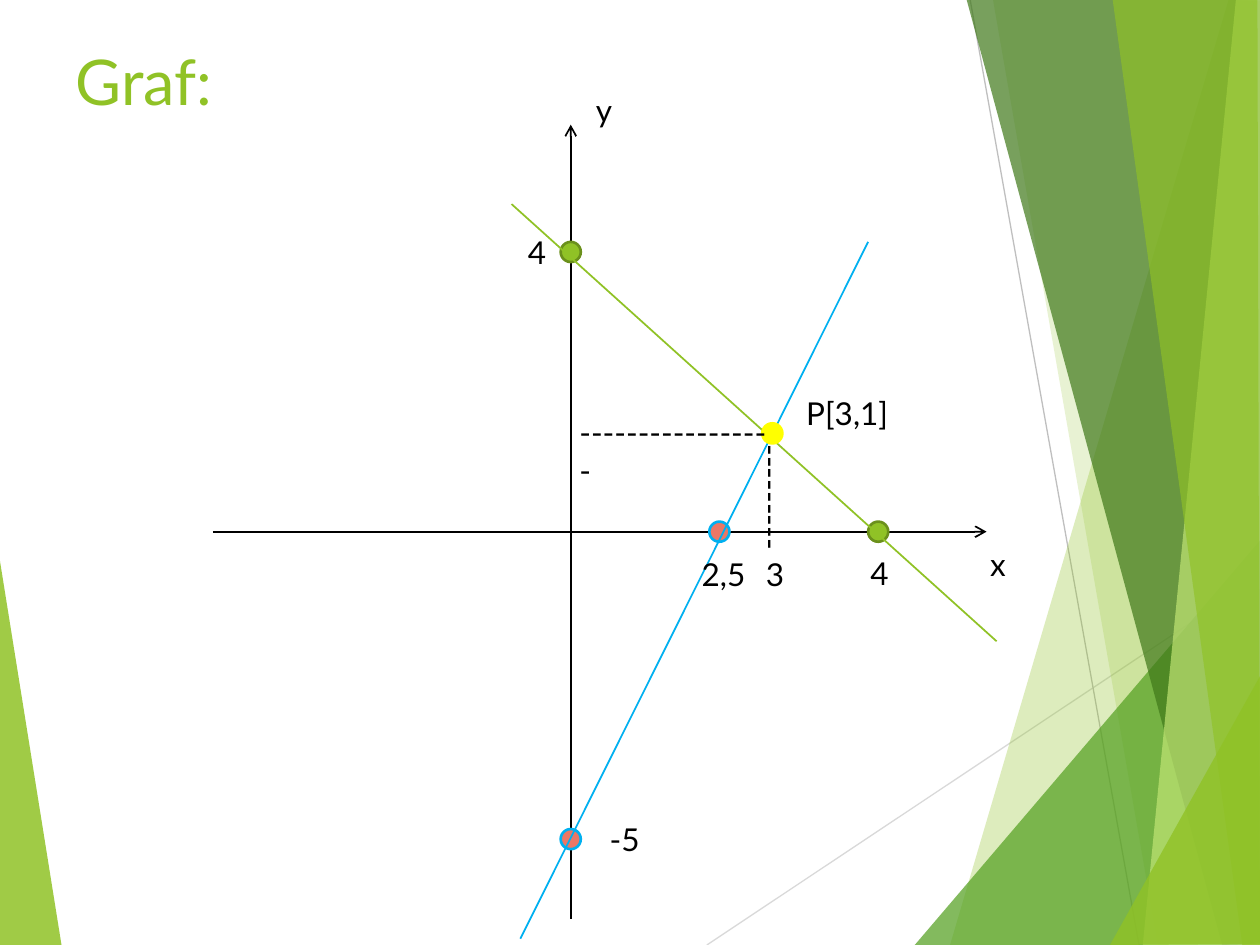
from typing import NamedTuple

from lxml import etree
from pptx import Presentation
from pptx import util as u
from pptx.dml.color import RGBColor
from pptx.enum import shapes, text
from pptx.oxml.ns import qn

PX = 9144  # 100 px to the inch
FONT = "Lato"
GREEN = RGBColor(0x90, 0xC2, 0x26)
OLIVE = RGBColor(0x6B, 0x90, 0x1C)
LEAF = RGBColor(0x54, 0xA0, 0x21)
FOREST = RGBColor(0x3F, 0x78, 0x19)
LIME = RGBColor(0xC0, 0xE4, 0x74)
SALMON = RGBColor(0xEB, 0x77, 0x66)
BLUE = RGBColor(0x00, 0xB0, 0xF0)
YELLOW = RGBColor(0xFF, 0xFF, 0x00)
BLACK = RGBColor(0, 0, 0)
PALE_GRAY = RGBColor(0xD9, 0xD9, 0xD9)
MID_GRAY = RGBColor(0xBF, 0xBF, 0xBF)

ORIGIN_X, ORIGIN_Y = 453, 422
DOT = 16


class Facet(NamedTuple):
    points: list[tuple[int, int]]
    color: RGBColor
    opacity: int


class Line(NamedTuple):
    start: tuple[int, int]
    end: tuple[int, int]
    color: RGBColor
    width: float = 1
    arrow: bool = False


class Dot(NamedTuple):
    x: int
    y: int
    fill: RGBColor
    outline: RGBColor


class Label(NamedTuple):
    words: str
    left: int
    top: int
    width: int
    rotation: int = 0


def px(length: int) -> int:
    return u.Emu(length * PX)


def apply(target, values: dict) -> None:
    for name, value in values.items():
        setattr(target, name, value)


def draw_facet(page, facet: Facet) -> None:
    builder = page.shapes.build_freeform(*facet.points[0], scale=PX)
    builder.add_line_segments(facet.points[1:], close=True)
    shape = builder.convert_to_shape()
    shape.shadow.inherit = False
    shape.line.fill.background()
    shape.fill.solid()
    shape.fill.fore_color.rgb = facet.color
    color = next(shape.element.spPr.iter(qn("a:srgbClr")))
    etree.SubElement(color, qn("a:alpha"), val=str(facet.opacity * 1000))


def draw_line(page, line: Line) -> None:
    ends = [px(value) for value in (*line.start, *line.end)]
    connector = page.shapes.add_connector(shapes.MSO_CONNECTOR.STRAIGHT, *ends)
    connector.line.color.rgb = line.color
    connector.line.width = u.Pt(line.width)
    if line.arrow:
        outline = connector.line._get_or_add_ln()
        etree.SubElement(outline, qn("a:tailEnd"), type="arrow")
    etree.SubElement(connector.element.spPr, qn("a:effectLst"))


def draw_dot(page, dot: Dot) -> None:
    shape = page.shapes.add_shape(
        shapes.MSO_SHAPE.OVAL, px(dot.x - DOT // 2), px(dot.y - DOT // 2), px(DOT), px(DOT))
    shape.shadow.inherit = False
    shape.fill.solid()
    shape.fill.fore_color.rgb = dot.fill
    shape.line.color.rgb = dot.outline
    shape.line.width = u.Pt(1.5)


def write(frame, words: str, size: int, color: RGBColor) -> None:
    para = frame.paragraphs[0]
    para.alignment = text.PP_ALIGN.LEFT
    span = para.add_run()
    span.text = words
    apply(span.font, {"name": FONT, "size": u.Pt(size)})
    span.font.color.rgb = color


def draw_label(page, label: Label) -> None:
    box = page.shapes.add_textbox(px(label.left), px(label.top), px(label.width), px(40))
    box.rotation = label.rotation
    apply(box.text_frame, {"word_wrap": True, "auto_size": text.MSO_AUTO_SIZE.SHAPE_TO_FIT_TEXT})
    write(box.text_frame, label.words, 18, BLACK)


LEFT_FACET = Facet([(-1, 439), (49, 751), (-1, 750)], GREEN, 85)
BACKDROP_LINES = [
    Line((561, 750), (1001, 457), PALE_GRAY, 0.75),
    Line((770, 0), (904, 750), MID_GRAY, 0.75),
]
RIGHT_FACETS = [
    Facet([(975, 0), (754, 750), (1002, 751), (1001, 1)], GREEN, 30),
    Facet([(788, -1), (919, 750), (1001, 750), (1001, -1)], GREEN, 20),
    Facet([(726, 750), (1000, 429), (1001, 750)], LEAF, 72),
    Facet([(767, -1), (970, 750), (1001, 749), (1001, -1)], FOREST, 70),
    Facet([(981, -1), (907, 750), (1001, 750), (1000, -1)], LIME, 70),
    Facet([(883, -1), (986, 750), (1000, 750), (998, -1)], GREEN, 65),
    Facet([(881, 750), (1001, 535), (1001, 749)], GREEN, 80),
]
AXES = [
    Line((169, ORIGIN_Y), (783, ORIGIN_Y), BLACK, arrow=True),
    Line((ORIGIN_X, 729), (ORIGIN_X, 99), BLACK, arrow=True),
]
GREEN_DOTS = [Dot(ORIGIN_X, 200, GREEN, OLIVE), Dot(697, ORIGIN_Y, GREEN, OLIVE)]
GREEN_LINE = Line((406, 162), (791, 509), GREEN)
BLUE_DOTS = [Dot(ORIGIN_X, 666, SALMON, BLUE), Dot(571, ORIGIN_Y, SALMON, BLUE)]
BLUE_LINE = Line((413, 745), (689, 192), BLUE)
CROSSING = Dot(613, 344, YELLOW, YELLOW)
LABELS = [
    Label("x", 776, 428, 55),
    Label("y", 463, 67, 79),
    Label("4", 409, 180, 71),
    Label("4", 681, 435, 94),
    Label("2,5", 547, 436, 102),
    Label("-5", 474, 646, 87),
    Label("P[3,1]", 630, 308, 118),
    Label("-" * 17, 450, 323, 173),
    Label("-" * 9, 538, 398, 150, rotation=90),
    Label("3", 598, 436, 55),
]


def main() -> None:
    deck = Presentation()
    apply(deck, {"slide_width": px(1000), "slide_height": px(750)})
    page = deck.slides.add_slide(deck.slide_layouts[5])

    # Title
    title = page.shapes.title
    apply(title, {"left": px(50), "top": px(29), "width": px(900), "height": px(117)})
    apply(title.text_frame, {"vertical_anchor": text.MSO_ANCHOR.TOP, "word_wrap": True,
                             "auto_size": text.MSO_AUTO_SIZE.NONE})
    write(title.text_frame, "Graf:", 36, GREEN)

    # Faceted backdrop
    draw_facet(page, LEFT_FACET)
    for line in BACKDROP_LINES:
        draw_line(page, line)
    for facet in RIGHT_FACETS:
        draw_facet(page, facet)

    # Axes and the two graphs with their intercepts
    for axis in AXES:
        draw_line(page, axis)
    for dots, line in ((GREEN_DOTS, GREEN_LINE), (BLUE_DOTS, BLUE_LINE)):
        for dot in dots:
            draw_dot(page, dot)
        draw_line(page, line)
    draw_dot(page, CROSSING)

    # Labels and dashed guides
    for label in LABELS:
        draw_label(page, label)

    deck.save("out.pptx")


if __name__ == "__main__":
    main()
